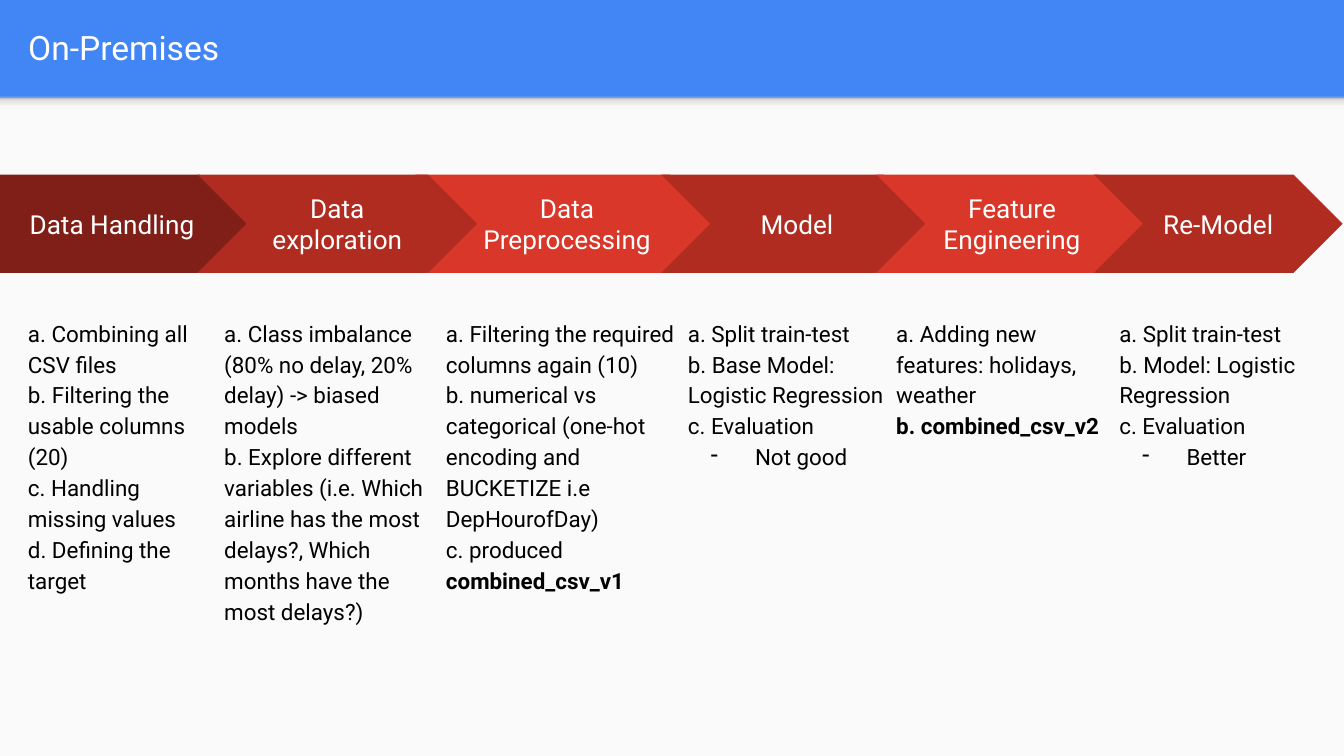
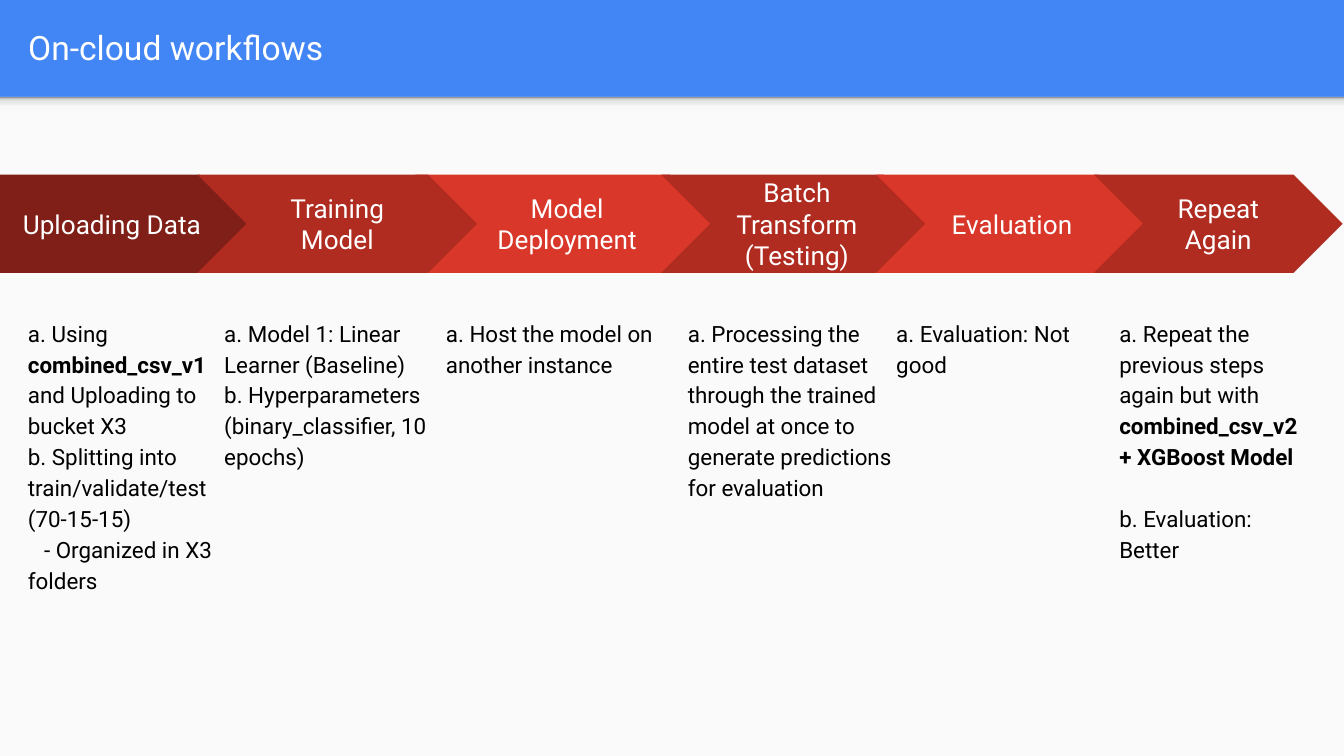
from copy import deepcopy

from lxml.etree import SubElement
from pptx import Presentation
from pptx.dml.color import RGBColor
from pptx.enum.shapes import MSO_SHAPE as Geo
from pptx.enum.text import MSO_ANCHOR as Anchor, MSO_AUTO_SIZE as Fit, PP_ALIGN as Align
from pptx.oxml.ns import qn
from pptx.util import Inches, Pt

WIDE, HIGH = Inches(10), Inches(5.625)
FONT = "Roboto"
BLUE = RGBColor(0x42, 0x85, 0xF4)
PAPER = RGBColor(0xFA, 0xFA, 0xFA)
WHITE = RGBColor(0xFF, 0xFF, 0xFF)
BLACK = RGBColor(0, 0, 0)
DARK = RGBColor(0x80, 0x1F, 0x17)
BRICK = RGBColor(0xB0, 0x2B, 0x20)
RED = RGBColor(0xD8, 0x37, 0x29)
SHADE = [(0, RGBColor(0xF9, 0xF9, 0xF9)), (0.36, RGBColor(0xF9, 0xF9, 0xF9)),
         (0.8, RGBColor(0xDE, 0xDE, 0xDE)), (1, RGBColor(0x99, 0x99, 0x99))]

# Percent of the slide's height: top and height of each row
HEAD = 12.8
STEP_ROW = (23.1, 13)
NOTE_ROW = (40, 50.8)

# Percent of the slide's width: step left, width; note left, width; colour
COLS = [
    (0, 18.5, 1.1, 16.3, DARK),
    (14.7, 20.8, 15.7, 18.5, BRICK),
    (30.9, 22.6, 32.2, 20, RED),
    (49.2, 20.2, 50.2, 18, BRICK),
    (65.2, 20.2, 65.7, 17.9, RED),
    (81.4, 18.5, 82.3, 16.5, BRICK),
]
ORDER = [2, 0, 1, 3, 4, 5]  # back to front

# In the notes, ** switches bold, a leading "-" makes a bullet,
# ">" indents the first line and "^" leaves a line free above.
PAGES = {
    "On-Premises": [
        ("Data Handling", [
            "a. Combining all CSV files",
            "b. Filtering the usable columns (20)",
            "c. Handling missing values",
            "d. Defining the target"]),
        ("Data exploration", [
            "a. Class imbalance (80% no delay, 20% delay) -> biased models",
            "b. Explore different variables (i.e. Which airline has the most "
            "delays?, Which months have the most delays?)"]),
        ("Data Preprocessing", [
            "a. Filtering the required columns again (10)",
            "b. numerical vs categorical (one-hot encoding and BUCKETIZE i.e "
            "DepHourofDay)",
            "c. produced **combined_csv_v1"]),
        ("Model", [
            "a. Split train-test",
            "b. Base Model: Logistic Regression",
            "c. Evaluation",
            "-Not good"]),
        ("Feature Engineering", [
            "a. Adding new features: holidays, weather",
            "**b. combined_csv_v2"]),
        ("Re-Model", [
            "a. Split train-test",
            "b. Model: Logistic Regression",
            "c. Evaluation",
            "-Better"]),
    ],
    "On-cloud workflows": [
        ("Uploading Data", [
            "a. Using **combined_csv_v1** and Uploading to bucket X3",
            "b. Splitting into train/validate/test (70-15-15)",
            ">- Organized in X3 folders"]),
        ("Training Model", [
            "a. Model 1: Linear Learner (Baseline)",
            "b. Hyperparameters (binary_classifier, 10 epochs)"]),
        ("Model Deployment", ["a. Host the model on another instance"]),
        ("Batch Transform (Testing)", [
            "a. Processing the entire test dataset through the trained model "
            "at once to generate predictions for evaluation"]),
        ("Evaluation", ["a. Evaluation: Not good"]),
        ("Repeat Again", [
            "a. Repeat the previous steps again but with "
            "**combined_csv_v2 + XGBoost Model",
            "^b. Evaluation: Better"]),
    ],
}


def area(left, top, width, height):
    """Turn percents of the slide into lengths."""
    return (round(WIDE * left / 100), round(HIGH * top / 100),
            round(WIDE * width / 100), round(HIGH * height / 100))


def style(run, size, color, bold=False):
    font = run.font
    font.name, font.size, font.bold = FONT, Pt(size), bold
    font.color.rgb = color


def set_frame(frame, anchor):
    frame.word_wrap = True
    frame.auto_size = Fit.NONE
    frame.vertical_anchor = anchor
    frame.margin_left = frame.margin_right = Inches(0.1)
    frame.margin_top = frame.margin_bottom = Inches(0.1)


def set_label(frame, text, size, align):
    set_frame(frame, Anchor.MIDDLE)
    frame.text = text
    par = frame.paragraphs[0]
    par.alignment = align
    style(par.runs[0], size, WHITE)


def add_block(shapes, kind, box, color):
    block = shapes.add_shape(kind, *box)
    block.shadow.inherit = False
    block.line.fill.background()
    block.fill.solid()
    block.fill.fore_color.rgb = color
    return block


def shade(block):
    """Fill with the soft shadow that falls below the header."""
    fill = block.fill
    fill.gradient()
    fill.gradient_angle = 90
    stops = block.element.find(".//" + qn("a:gsLst"))
    for _ in SHADE[2:]:
        stops.append(deepcopy(stops[0]))
    for stop, (pos, color) in zip(fill.gradient_stops, SHADE):
        stop.position = pos
        stop.color.rgb = color


def dress(layout, slide):
    """Draw the shared page on a slide and move it to the layout."""
    for spot in list(layout.placeholders)[1:]:
        spot.element.getparent().remove(spot.element)
    back = layout.background.fill
    back.solid()
    back.fore_color.rgb = BLUE
    page = add_block(slide.shapes, Geo.RECTANGLE, area(0, HEAD, 100, 100 - HEAD), PAPER)
    band = add_block(slide.shapes, Geo.RECTANGLE, area(0, HEAD, 100, 2.1), PAPER)
    shade(band)
    for block in (page, band):
        layout.shapes.element.append(block.element)


def set_title(slide, text):
    title = slide.shapes.title
    title.left, title.top, title.width, title.height = area(1.1, 0.4, 96.5, 11.7)
    set_label(title.text_frame, text, 18, Align.LEFT)


def set_indent(par, left, first):
    props = par._p.get_or_add_pPr()
    props.set("marL", str(Inches(left)))
    props.set("indent", str(Inches(first)))
    return props


def add_line(par, line):
    par.line_spacing = 1.15
    mark = line[0]
    if mark == "-":
        props = set_indent(par, 0.5, -0.33)
        SubElement(props, qn("a:buChar")).set("char", "-")
    elif mark == ">":
        set_indent(par, 0, 0.12)
    elif mark == "^":
        par.space_before = Pt(16.5)
    if mark in "->^":
        line = line[1:]
    for i, part in enumerate(line.split("**")):
        if part:
            run = par.add_run()
            run.text = part
            style(run, 12, BLACK, i % 2 == 1)


def add_stage(slide, col, name, notes):
    """Group one step of the process with the notes below it."""
    left, width, edge, span, color = COLS[col]
    shapes = slide.shapes.add_group_shape().shapes
    kind = Geo.CHEVRON if col else Geo.PENTAGON
    step = add_block(shapes, kind, area(left, STEP_ROW[0], width, STEP_ROW[1]), color)
    set_label(step.text_frame, name, 14, Align.CENTER)
    frame = shapes.add_textbox(*area(edge, NOTE_ROW[0], span, NOTE_ROW[1])).text_frame
    set_frame(frame, Anchor.TOP)
    for i, line in enumerate(notes):
        add_line(frame.add_paragraph() if i else frame.paragraphs[0], line)


def main():
    deck = Presentation()
    deck.slide_width, deck.slide_height = WIDE, HIGH
    layout = deck.slide_layouts[5]
    for num, (title, stages) in enumerate(PAGES.items()):
        slide = deck.slides.add_slide(layout)
        if num == 0:
            dress(layout, slide)
        set_title(slide, title)
        for col in ORDER:
            add_stage(slide, col, *stages[col])
    deck.save("out.pptx")


if __name__ == "__main__":
    main()
